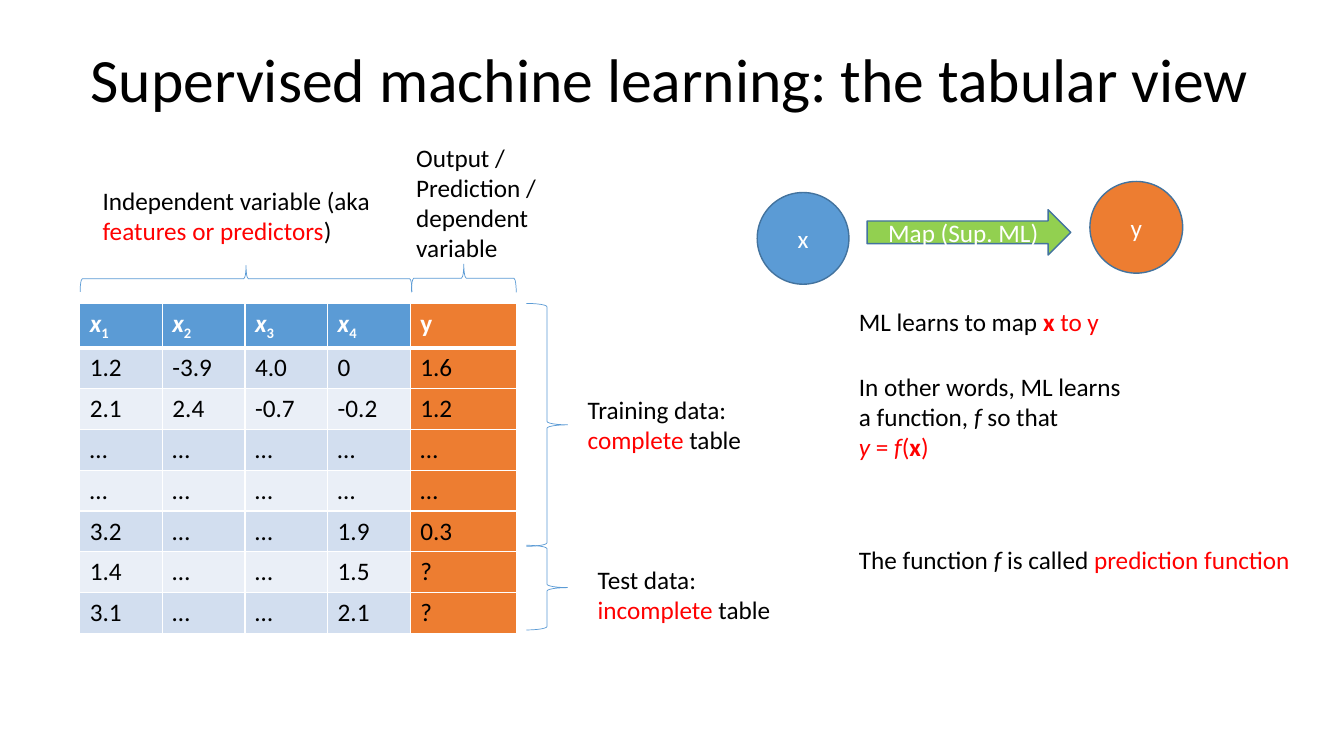
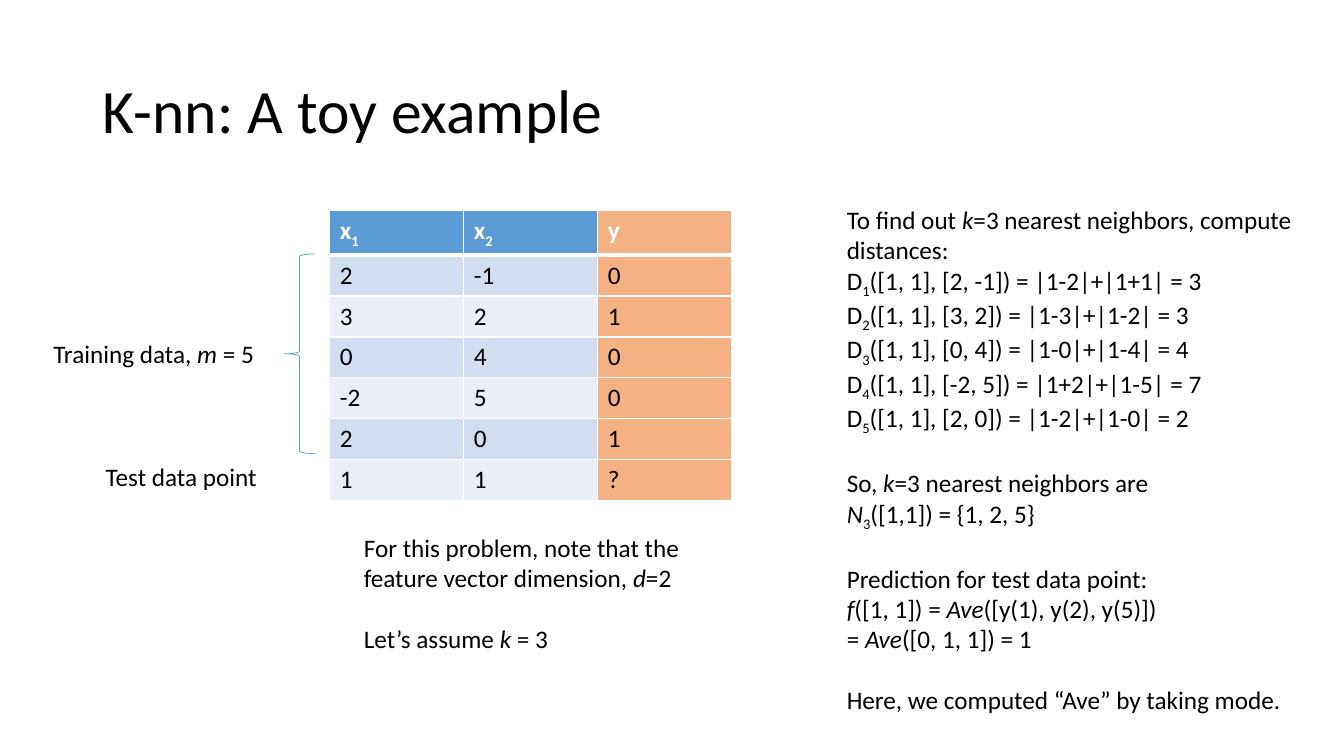
from lxml import etree
from pptx import Presentation
from pptx.dml.color import RGBColor
from pptx.enum.shapes import MSO_SHAPE as SHAPE
from pptx.enum.text import MSO_ANCHOR as ANCHOR, MSO_AUTO_SIZE as AUTO, PP_ALIGN as ALIGN
from pptx.oxml.ns import qn
from pptx.util import Inches, Pt

# Shared look
COLORS = {
    "text": "000000", "white": "FFFFFF", "red": "FF0000",
    "blue": "5B9BD5", "outline": "43739E", "green": "92D050",
    "orange": "ED7D31", "peach": "F4B183",
    "band_dark": "D2DEEF", "band_light": "EAEFF7",
}
FONT = "Calibri"
TITLE_SIZE, BODY_SIZE, LINE_GAP = 44, 18, 22
RUN_STYLES = {"b": {"bold": True}, "i": {"italic": True}}

# Table contents
TABULAR = [
    [[("x", "i"), (str(n), "s")] for n in range(1, 5)] + [["y"]],
    ["1.2", "-3.9", "4.0", "0", "1.6"],
    ["2.1", "2.4", "-0.7", "-0.2", "1.2"],
    ["…"] * 5,
    ["…"] * 5,
    ["3.2", "…", "…", "1.9", "0.3"],
    ["1.4", "…", "…", "1.5", "?"],
    ["3.1", "…", "…", "2.1", "?"],
]
TRAINING = [(2, -1, 0), (3, 2, 1), (0, 4, 0), (-2, 5, 0), (2, 0, 1)]
TOY = [
    [["x", ("1", "s")], ["x", ("2", "s")], ["y"]],
    *[[str(v) for v in row] for row in TRAINING],
    ["1", "1", "?"],
]


def rgb(name):
    return RGBColor.from_string(COLORS[name])


# Text: a run is a string or (string, style letters):
# b bold, i italic, r red, s subscript
def add_runs(p, runs, color="text", size=BODY_SIZE, bold=False):
    for run in runs:
        text, style = (run, "") if isinstance(run, str) else run
        r = p.add_run()
        r.text = text
        values = {"name": FONT, "size": Pt(size), "bold": bold}
        for letter in style:
            values.update(RUN_STYLES.get(letter, {}))
        for key, value in values.items():
            setattr(r.font, key, value)
        r.font.color.rgb = rgb("red" if "r" in style else color)
        if "s" in style:
            r._r.get_or_add_rPr().set("baseline", "-25000")


def add_text(s, box, paragraphs, gaps=(), wrap=True):
    """Add a text box; gaps holds the paragraphs set one line lower."""
    tf = s.shapes.add_textbox(*map(Inches, box)).text_frame
    tf.word_wrap = wrap
    tf.auto_size = AUTO.SHAPE_TO_FIT_TEXT
    for i, runs in enumerate(paragraphs):
        p = tf.add_paragraph() if i else tf.paragraphs[0]
        if i in gaps:
            p.space_before = Pt(LINE_GAP)
        add_runs(p, runs)


def add_title(s, box, text):
    tf = s.shapes.add_textbox(*map(Inches, box)).text_frame
    tf.word_wrap = True
    tf.vertical_anchor = ANCHOR.MIDDLE
    p = tf.paragraphs[0]
    p.line_spacing = 0.9
    add_runs(p, [text], size=TITLE_SIZE)


# Shapes
def add_brace(s, kind, box, rotation=0):
    sp = s.shapes.add_shape(kind, *map(Inches, box))
    sp.shadow.inherit = False
    sp.fill.background()
    sp.line.color.rgb = rgb("blue")
    sp.line.width = Pt(0.5)
    sp.rotation = rotation


def add_node(s, kind, box, fill, label):
    sp = s.shapes.add_shape(kind, *map(Inches, box))
    sp.shadow.inherit = False
    sp.fill.solid()
    sp.fill.fore_color.rgb = rgb(fill)
    sp.line.color.rgb = rgb("outline")
    sp.line.width = Pt(1)
    tf = sp.text_frame
    tf.vertical_anchor = ANCHOR.MIDDLE
    p = tf.paragraphs[0]
    p.alignment = ALIGN.CENTER
    add_runs(p, [label], color="white")


# Tables
def add_borders(cell, bottom):
    tc_pr = cell._tc.get_or_add_tcPr()
    for side, width in zip("LRTB", (1, 1, 1, bottom)):
        ln = etree.SubElement(tc_pr, qn(f"a:ln{side}"), w=str(Pt(width)))
        fill = etree.SubElement(ln, qn("a:solidFill"))
        etree.SubElement(fill, qn("a:srgbClr"), val=COLORS["white"])


def add_data_table(s, left, top, height, widths, rows, output_fill):
    """Add a banded table whose last column is the output."""
    frame = s.shapes.add_table(len(rows), len(widths), Inches(left), Inches(top),
                               Inches(sum(widths)), Inches(height))
    table = frame.table
    table.first_row = table.horz_banding = False
    for column, width in zip(table.columns, widths):
        column.width = Inches(width)
    for i, row in enumerate(rows):
        header = i == 0
        band = "blue" if header else ("band_light", "band_dark")[i % 2]
        for j, runs in enumerate(row):
            cell = table.cell(i, j)
            add_borders(cell, 3 if header else 1)
            cell.fill.solid()
            cell.fill.fore_color.rgb = rgb(output_fill if j == len(row) - 1 else band)
            runs = [runs] if isinstance(runs, str) else runs
            add_runs(cell.text_frame.paragraphs[0], runs,
                     color="white" if header else "text", bold=header)


# Slides
def tabular_view(s):
    add_title(s, (0.8, 0.09, 11.98, 1.45), "Supervised machine learning: the tabular view")
    add_data_table(s, 0.79, 3.01, 3.24, [0.82] * 4 + [1.05], TABULAR, "orange")

    # Row and column groups
    add_brace(s, SHAPE.RIGHT_BRACE, (5.22, 3.01, 0.41, 2.41))
    add_brace(s, SHAPE.RIGHT_BRACE, (5.22, 5.41, 0.41, 0.84))
    add_brace(s, SHAPE.LEFT_BRACE, (2.31, 1.12, 0.26, 3.29), 90)
    add_brace(s, SHAPE.LEFT_BRACE, (4.46, 2.24, 0.28, 1.04), 90)
    add_text(s, (5.73, 3.86, 1.97, 0.71),
             [["Training data: ", ("complete ", "r"), "table"]])
    add_text(s, (5.83, 5.55, 1.98, 0.71),
             [["Test data: ", ("incomplete ", "r"), "table"]])
    add_text(s, (0.92, 1.79, 3.11, 0.71),
             [["Independent variable (aka ", ("features or predictors", "r"), ")"]])
    add_text(s, (4.03, 1.36, 1.74, 1.31), [["Output / Prediction / dependent variable"]])

    # Mapping from x to y
    add_node(s, SHAPE.OVAL, (7.51, 1.91, 0.91, 0.91), "blue", "x")
    add_node(s, SHAPE.OVAL, (10.81, 1.8, 0.92, 0.91), "orange", "y")
    add_node(s, SHAPE.RIGHT_ARROW, (8.6, 2.08, 2.02, 0.45), "green", "Map (Sup. ML)")
    add_text(s, (8.42, 2.99, 2.6, 0.4),
             [["ML learns to map ", ("x", "br"), (" to y", "r")]], wrap=False)
    add_text(s, (8.42, 3.63, 2.83, 1.01), [
        ["In other words, ML learns"],
        ["a function, ", ("f", "i"), " so that"],
        [("y", "ir"), (" = ", "r"), ("f", "ir"), ("(", "r"), ("x", "br"), (")", "r")],
    ], wrap=False)
    add_text(s, (8.42, 5.35, 4.71, 0.4),
             [["The function ", ("f", "i"), " is called ", ("prediction function", "r")]],
             wrap=False)


def distance_line(n, a, b):
    terms = [f"|1{'+' if v < 0 else '-'}{abs(v)}|" for v in (a, b)]
    total = abs(1 - a) + abs(1 - b)
    return ["D", (str(n), "s"), f"([1, 1], [{a}, {b}]) = {'+'.join(terms)} = {total}"]


def toy_example(s):
    add_title(s, (0.92, 0.4, 11.5, 1.45), "K-nn: A toy example")
    add_data_table(s, 3.27, 2.09, 2.84, [1.33] * 3, TOY, "peach")

    # Row labels and note
    add_brace(s, SHAPE.LEFT_BRACE, (2.82, 2.52, 0.3, 1.98))
    add_text(s, (0.43, 3.31, 2.31, 0.4), [["Training data, ", ("m", "i"), " = 5"]])
    add_text(s, (0.95, 4.53, 1.86, 0.4), [["Test data point"]])
    add_text(s, (3.51, 5.23, 3.69, 1.31), [
        ["For this problem, note that the"],
        ["feature vector dimension, ", ("d", "i"), "=2"],
        ["Let’s assume ", ("k", "i"), " = 3"],
    ], gaps=(2,))

    # Worked solution
    add_text(s, (8.3, 1.98, 4.75, 5.25), [
        ["To find out ", ("k", "i"), "=3 nearest neighbors, compute distances:"],
        *[distance_line(n, a, b) for n, (a, b, _) in enumerate(TRAINING, 1)],
        ["So, ", ("k", "i"), "=3 nearest neighbors are"],
        [("N", "i"), ("3", "s"), "([1,1]) = {1, 2, 5}"],
        ["Prediction for test data point:"],
        [("f", "i"), "([1, 1]) = ", ("Ave", "i"), "([y(1), y(2), y(5)])"],
        ["= ", ("Ave", "i"), "([0, 1, 1]) = 1"],
        ["Here, we computed “Ave” by taking mode."],
    ], gaps=(6, 8, 11))


def main():
    prs = Presentation()
    prs.slide_width, prs.slide_height = Inches(13.33), Inches(7.5)
    for build in (tabular_view, toy_example):
        build(prs.slides.add_slide(prs.slide_layouts[6]))
    prs.save("out.pptx")


if __name__ == "__main__":
    main()
